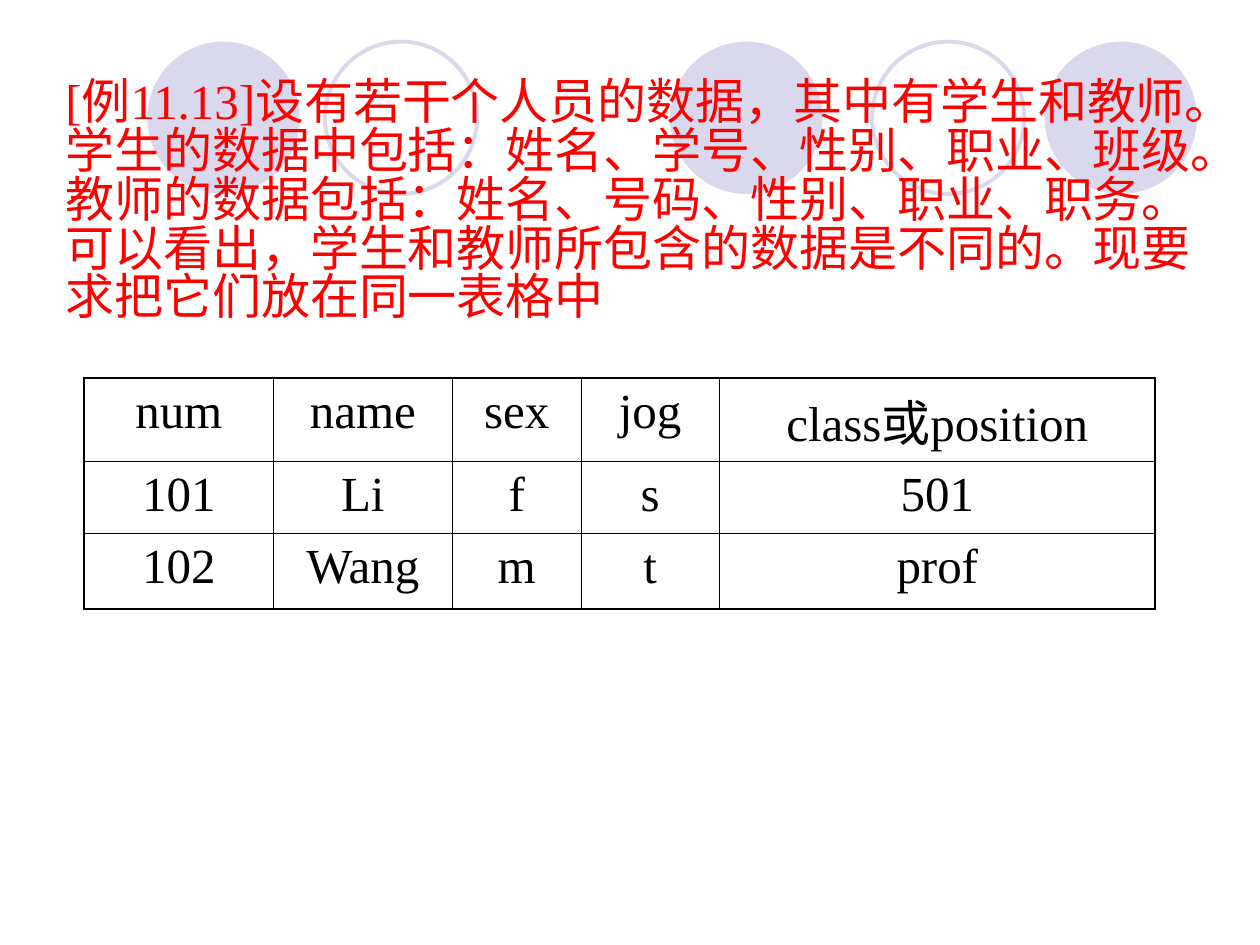
from lxml.etree import SubElement
from pptx import Presentation
from pptx.dml.color import RGBColor
from pptx.enum.shapes import MSO_SHAPE as SHAPE
from pptx.enum.text import MSO_ANCHOR as ANCHOR, MSO_AUTO_SIZE as FIT, PP_ALIGN as ALIGN
from pptx.oxml.ns import qn
from pptx.util import Cm, Pt

COLORS = {"title": "FF0000", "text": "000000", "border": "000000", "circle": "D9D8EC"}
FONT = {"name": "Times New Roman", "size": Pt(28), "bold": False}
MARGINS = {"margin_left": Cm(0.25), "margin_right": Cm(0.25),
           "margin_top": Cm(0.13), "margin_bottom": Cm(0.13)}
OUTER, INNER = Pt(1.08), Pt(0.45)

TITLE = ("[例11.13]设有若干个人员的数据，其中有学生和教师。"
         "学生的数据中包括：姓名、学号、性别、职业、班级。"
         "教师的数据包括：姓名、号码、性别、职业、职务。"
         "可以看出，学生和教师所包含的数据是不同的。现要求把它们放在同一表格中")
ROWS = [
    ["num", "name", "sex", "jog", "class或position"],
    ["101", "Li", "f", "s", "501"],
    ["102", "Wang", "m", "t", "prof"],
]
COL_WIDTHS = [3.81, 3.61, 2.59, 2.79, 8.79]
ROW_HEIGHTS = [1.45, 1.45, 1.52]
# Offset of each circle from the left of the band, and whether it is filled
CIRCLES = [(0, True), (3.58, False), (10.54, True), (14.61, False), (18.09, True)]


def rgb(key):
    return RGBColor.from_string(COLORS[key])


def apply(target, values):
    for name, value in values.items():
        setattr(target, name, value)


def style_font(p, color):
    apply(p.font, FONT)
    p.font.color.rgb = rgb(color)


def add_circles(s, left, top, size):
    for offset, filled in CIRCLES:
        sp = s.shapes.add_shape(SHAPE.OVAL, Cm(left + offset), Cm(top), Cm(size), Cm(size))
        sp.shadow.inherit = False
        if filled:
            sp.fill.solid()
            sp.fill.fore_color.rgb = rgb("circle")
            sp.line.fill.background()
        else:
            sp.fill.background()
            sp.line.color.rgb = rgb("circle")
            sp.line.width = Pt(2.25)


def fill_title(s, left, top, width, height):
    title = s.shapes.title
    apply(title, {"left": Cm(left), "top": Cm(top), "width": Cm(width), "height": Cm(height)})
    tf = title.text_frame
    apply(tf, {"text": TITLE, "word_wrap": True, "auto_size": FIT.NONE,
               "vertical_anchor": ANCHOR.MIDDLE, **MARGINS})
    p = tf.paragraphs[0]
    apply(p, {"alignment": ALIGN.LEFT, "line_spacing": 0.83})
    style_font(p, "title")
    # Bring the title in front of the circles
    s.shapes._spTree.append(title._element)


def set_borders(cell, widths):
    tc_pr = cell._tc.get_or_add_tcPr()
    for index, (side, width) in enumerate(widths.items()):
        ln = tc_pr.makeelement(qn(f"a:{side}"), {"w": str(int(width))})
        fill = SubElement(ln, qn("a:solidFill"))
        SubElement(fill, qn("a:srgbClr"), val=COLORS["border"])
        tc_pr.insert(index, ln)


def add_people_table(s, left, top):
    last_row, last_col = len(ROWS) - 1, len(COL_WIDTHS) - 1
    frame = s.shapes.add_table(len(ROWS), len(COL_WIDTHS), Cm(left), Cm(top),
                               Cm(sum(COL_WIDTHS)), Cm(sum(ROW_HEIGHTS)))
    table = frame.table
    apply(table, {"first_row": False, "horz_banding": False})
    for column, width in zip(table.columns, COL_WIDTHS):
        column.width = Cm(width)
    for row, height in zip(table.rows, ROW_HEIGHTS):
        row.height = Cm(height)
    for i, texts in enumerate(ROWS):
        for j, text in enumerate(texts):
            cell = table.cell(i, j)
            apply(cell, {"text": text, "vertical_anchor": ANCHOR.TOP, **MARGINS})
            cell.fill.background()
            p = cell.text_frame.paragraphs[0]
            p.alignment = ALIGN.CENTER
            style_font(p, "text")
            set_borders(cell, {
                "lnL": OUTER if j == 0 else INNER,
                "lnR": OUTER if j == last_col else INNER,
                "lnT": OUTER if i == 0 else INNER,
                "lnB": OUTER if i == last_row else INNER,
            })


def main():
    prs = Presentation()
    apply(prs, {"slide_width": Cm(25.4), "slide_height": Cm(19.05)})
    s = prs.slides.add_slide(prs.slide_layouts[5])
    add_circles(s, 2.97, 0.84, 3.07)
    fill_title(s, 1.07, 0.76, 23.7, 6.65)
    add_people_table(s, 1.7, 7.62)
    prs.save("out.pptx")


if __name__ == "__main__":
    main()
